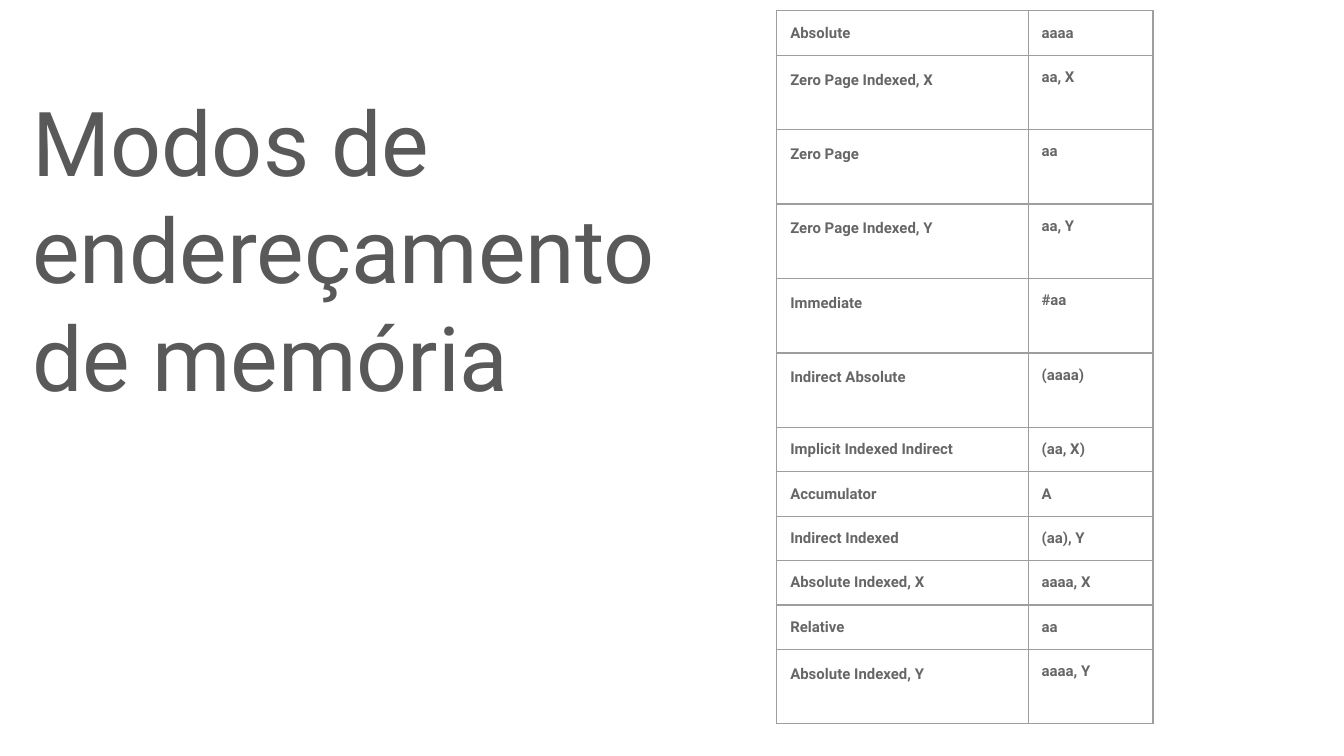
import pptx
import pptx.util
import pptx.dml.color
import pptx.enum.text
import pptx.oxml
import pptx.oxml.ns
from pptx.util import Inches, Pt

# Content: mode, syntax, tall row or not
TITLE = "Modos de endereçamento de memória"
MODES = [
    ("Absolute", "aaaa", False),
    ("Zero Page Indexed, X", "aa, X", True),
    ("Zero Page", "aa", True),
    ("Zero Page Indexed, Y", "aa, Y", True),
    ("Immediate", "#aa", True),
    ("Indirect Absolute", "(aaaa)", True),
    ("Implicit Indexed Indirect", "(aa, X)", False),
    ("Accumulator", "A", False),
    ("Indirect Indexed", "(aa), Y", False),
    ("Absolute Indexed, X", "aaaa, X", False),
    ("Relative", "aa", False),
    ("Absolute Indexed, Y", "aaaa, Y", True),
]

# Style
FONT = "Roboto"
DARK = pptx.dml.color.RGBColor(0x59, 0x59, 0x59)
GREY = pptx.dml.color.RGBColor(0x66, 0x66, 0x66)
EDGE = pptx.dml.color.RGBColor(0x9E, 0x9E, 0x9E)
WIDTHS = (Inches(1.87), Inches(0.93))
SHORT, TALL = Pt(23.7), Pt(39.9)
PAD = Inches(0.1)


def style(par, size, color, bold):
    for run in par.runs:
        font = run.font
        font.name, font.size, font.bold = FONT, Pt(size), bold
        font.color.rgb = color


def pad(box):
    box.margin_left = box.margin_right = PAD
    box.margin_top = box.margin_bottom = PAD


def border(cell):
    props = cell._tc.get_or_add_tcPr()
    for i, side in enumerate(("lnL", "lnR", "lnT", "lnB")):
        line = pptx.oxml.parse_xml(
            f'<a:{side} {pptx.oxml.ns.nsdecls("a")} w="{Pt(0.75)}">'
            f'<a:solidFill><a:srgbClr val="{EDGE}"/></a:solidFill></a:{side}>')
        props.insert(i, line)


def fill(cell, text, tall):
    cell.text_frame.text = text
    par = cell.text_frame.paragraphs[0]
    style(par, 8, GREY, True)
    if tall:
        par.line_spacing = 1.15
        par.space_after = Pt(16)
    pad(cell)
    cell.fill.background()
    border(cell)


def main():
    # Widescreen page, 16 to 9
    deck = pptx.Presentation()
    deck.slide_width = Inches(10)
    deck.slide_height = deck.slide_width * 9 // 16
    slide = deck.slides.add_slide(deck.slide_layouts[5])

    # Title
    title = slide.shapes.title
    title.left, title.top = Inches(0.14), Inches(0.14)
    title.width, title.height = Inches(5.64), Inches(3.41)
    frame = title.text_frame
    frame.text = TITLE
    frame.word_wrap = True
    frame.auto_size = pptx.enum.text.MSO_AUTO_SIZE.NONE
    frame.vertical_anchor = pptx.enum.text.MSO_ANCHOR.MIDDLE
    pad(frame)
    frame.paragraphs[0].alignment = pptx.enum.text.PP_ALIGN.LEFT
    style(frame.paragraphs[0], 48, DARK, False)

    # Table of modes
    highs = [TALL if tall else SHORT for _, _, tall in MODES]
    table = slide.shapes.add_table(
        len(MODES), len(WIDTHS), Inches(5.78), Inches(0.08),
        sum(WIDTHS), sum(highs)).table
    table.first_row = table.horz_banding = False
    for col, width in zip(table.columns, WIDTHS):
        col.width = width
    for row, high, (mode, code, tall) in zip(table.rows, highs, MODES):
        row.height = high
        fill(row.cells[0], mode, tall)
        fill(row.cells[1], code, False)

    deck.save("out.pptx")


if __name__ == "__main__":
    main()
